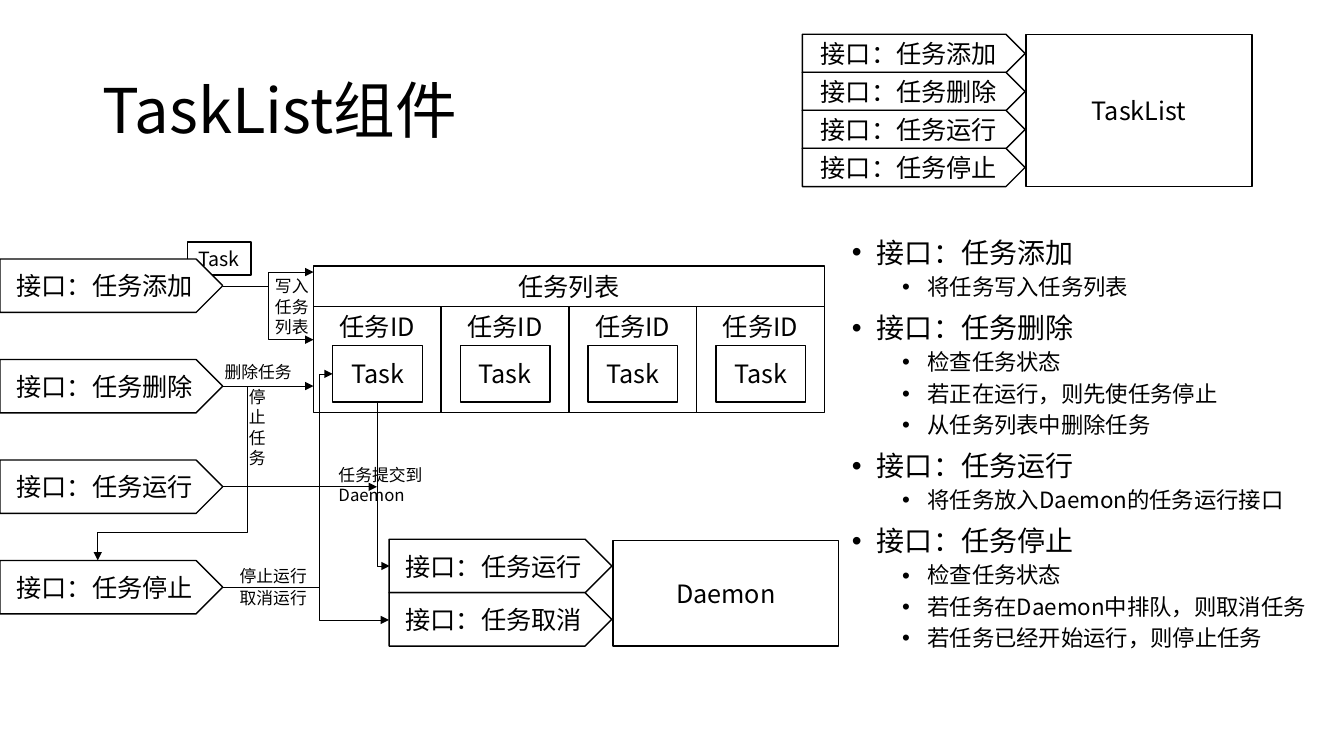
from lxml.etree import SubElement
from pptx import Presentation
from pptx.dml.color import RGBColor
from pptx.enum.shapes import MSO_CONNECTOR, MSO_SHAPE
from pptx.enum.text import MSO_ANCHOR, MSO_AUTO_SIZE, PP_ALIGN
from pptx.oxml.ns import qn
from pptx.util import Inches, Pt

COLORS = {"ink": "000000", "paper": "FFFFFF"}
FONT = "Noto Sans CJK SC"
CELL = Inches(0.1)
COLS, ROWS = 133.33, 75
RECT, PLATE = MSO_SHAPE.RECTANGLE, MSO_SHAPE.PENTAGON
ADD, DROP, RUN, STOP, CANCEL = (
    "接口：任务" + verb for verb in ("添加", "删除", "运行", "停止", "取消"))
PORTS = [ADD, DROP, RUN, STOP]
STEPS = [
    (ADD, ["将任务写入任务列表"]),
    (DROP, ["检查任务状态", "若正在运行，则先使任务停止", "从任务列表中删除任务"]),
    (RUN, ["将任务放入Daemon的任务运行接口"]),
    (STOP, ["检查任务状态", "若任务在Daemon中排队，则取消任务", "若任务已经开始运行，则停止任务"]),
]
LINKS = [
    ((22.1, 28.4, 31.1, 27), "bentConnector3", [0.5], 0),
    ((22.1, 28.4, 31.1, 33.7), "bentConnector3", [0.5], 0),
    ((22.1, 38.3, 31.1, 38.3), "line", [], 0),
    ((22.1, 38.3, 9.7, 55.6), "bentConnector4", [-0.2, 0.84], 0),
    ((22.1, 48.3, 37.4, 48.3), "line", [], 0),
    ((22.1, 58.3, 38.6, 61.5), "bentConnector3", [0.58], 0),
    ((22.1, 58.3, 33, 37.1), "bentConnector3", [0.88], 0),
    ((46.2, 47.4, 29.9, 48.6), "bentConnector2", [], 270),
]
LABELS = [
    ("写入任务列表", 26.3, 26.9, 6.3, 7.1),
    ("删除任务", 21.3, 35.4, 12, 3),
    ("停止任务", 23.7, 37.9, 2.5, 9.1),
    ("任务提交到Daemon", 32.6, 45.6, 12, 5),
    ("停止运行", 22.8, 55.6, 12, 3),
    ("取消运行", 22.8, 57.8, 12, 3),
]


def grid(*cells):
    """Turn grid cells into slide lengths."""
    return [round(cell * CELL) for cell in cells]


def tint(name):
    """Look up a colour by name."""
    return RGBColor.from_string(COLORS[name])


def write(para, text, size=18, align=PP_ALIGN.LEFT, lead=None, gap=0):
    """Put formatted text into a paragraph."""
    para.alignment = align
    para.space_before = Pt(gap)
    if lead:
        para.line_spacing = lead
    run = para.add_run()
    run.text = text
    run.font.size = Pt(size)
    run.font.name = FONT
    run.font.color.rgb = tint("ink")
    SubElement(run.font._element, qn("a:ea")).set("typeface", FONT)


def place(shape, *cells):
    """Move a shape to a spot on the grid."""
    shape.left, shape.top, shape.width, shape.height = grid(*cells)


def box(group, kind, text, *cells, size=18, hold=MSO_ANCHOR.MIDDLE):
    """Draw an outlined shape with centred text."""
    shape = group.add_shape(kind, *grid(*cells))
    shape.shadow.inherit = False
    shape.fill.solid()
    shape.fill.fore_color.rgb = tint("paper")
    shape.line.color.rgb = tint("ink")
    shape.line.width = Pt(1)
    frame = shape.text_frame
    frame.word_wrap = True
    frame.vertical_anchor = hold
    write(frame.paragraphs[0], text, size=size, align=PP_ALIGN.CENTER)


def link(group, ends, kind, bends, turn):
    """Draw an arrow, straight or bent."""
    line = group.add_connector(MSO_CONNECTOR.STRAIGHT, *grid(*ends))
    line.line.color.rgb = tint("ink")
    line.line.width = Pt(0.5)
    props = line._element.spPr
    if turn:
        props.find(qn("a:xfrm")).set("rot", str(turn * 60000))
    geom = props.find(qn("a:prstGeom"))
    geom.set("prst", kind)
    guides = geom.find(qn("a:avLst"))
    for num, bend in enumerate(bends, 1):
        guide = SubElement(guides, qn("a:gd"))
        guide.set("name", f"adj{num}")
        guide.set("fmla", f"val {round(bend * 100000)}")
    SubElement(props.find(qn("a:ln")), qn("a:tailEnd")).set("type", "triangle")
    SubElement(props, qn("a:effectLst"))


def label(group, text, *cells):
    """Add a small wrapped note."""
    frame = group.add_textbox(*grid(*cells)).text_frame
    frame.word_wrap = True
    frame.auto_size = MSO_AUTO_SIZE.SHAPE_TO_FIT_TEXT
    write(frame.paragraphs[0], text, size=12)


def point(para, text, level, first=False):
    """Write one list item at its level."""
    para.level = level
    props = para._element.get_or_add_pPr()
    props.set("marL", str(Inches(0.25 + 0.5 * level)))
    props.set("indent", str(-Inches(0.25)))
    SubElement(props, qn("a:buChar")).set("char", "•")
    gap = 0 if first else (10, 5)[level]
    write(para, text, size=(20, 16)[level], lead=0.9, gap=gap)


def steps(shape):
    """Fill the body with the steps of each port."""
    place(shape, 83.5, 23.2, 48.1, 47.6)
    frame = shape.text_frame
    frame.auto_size = MSO_AUTO_SIZE.NONE
    items = [(text, level) for port, acts in STEPS
             for text, level in [(port, 0)] + [(act, 1) for act in acts]]
    for num, (text, level) in enumerate(items):
        para = frame.add_paragraph() if num else frame.paragraphs[0]
        point(para, text, level, first=not num)


def ports(group, names, left, top, pitch, high):
    """Stack port plates at an even pitch."""
    for num, name in enumerate(names):
        box(group, PLATE, name, left, top + num * pitch, 22.1, high)


def flow(group):
    """Draw the flow from ports to tasks and daemon."""
    box(group, RECT, "Task", 18.6, 24, 6.3, 3.3, size=14)
    box(group, RECT, "任务列表", 31.1, 26.4, 50.7, 4)
    for num in range(4):
        left = 31.1 + num * 12.67
        box(group, RECT, "任务ID", left, 30.4, 12.67, 10.5, hold=MSO_ANCHOR.TOP)
        box(group, RECT, "Task", left + 1.9, 34.3, 8.9, 5.6)
    ports(group, PORTS, 0, 25.7, 9.97, 5.3)
    ports(group, [RUN, CANCEL], 38.6, 53.5, 5.3, 5.3)
    box(group, RECT, "Daemon", 60.8, 53.6, 22.4, 10.5)
    for item in LINKS:
        link(group, *item)
    for item in LABELS:
        label(group, *item)


def main():
    """Build the slide and save it."""
    deck = Presentation()
    deck.slide_width, deck.slide_height = grid(COLS, ROWS)
    slide = deck.slides.add_slide(deck.slide_layouts[1])
    title = slide.shapes.title
    place(title, 9.2, 4, 115, 14.5)
    title.text_frame.vertical_anchor = MSO_ANCHOR.MIDDLE
    write(title.text_frame.paragraphs[0], "TaskList组件", size=44, lead=0.9)
    steps(slide.placeholders[1])
    head = slide.shapes.add_group_shape().shapes
    ports(head, PORTS, 79.6, 3.4, 3.77, 3.8)
    box(head, RECT, "TaskList", 101.8, 3.4, 22.4, 15.1)
    flow(slide.shapes.add_group_shape().shapes)
    deck.save("out.pptx")


if __name__ == "__main__":
    main()
